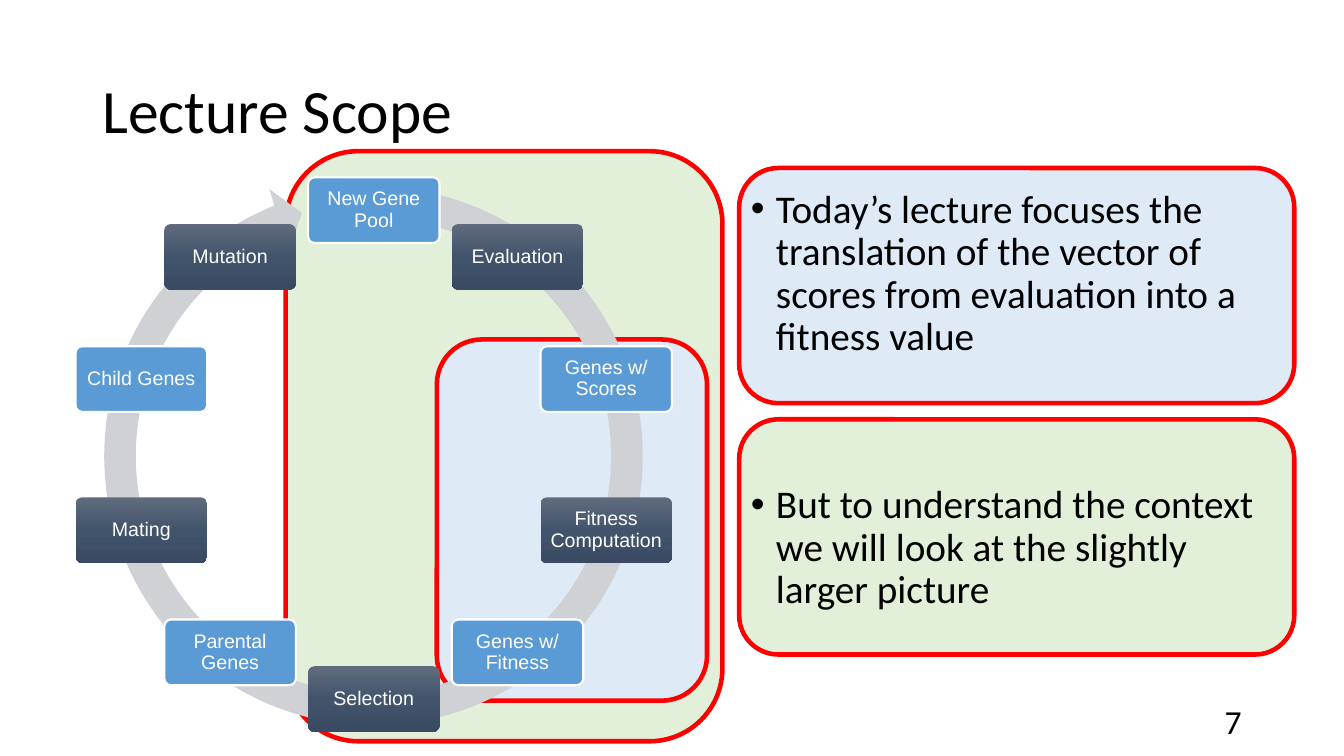
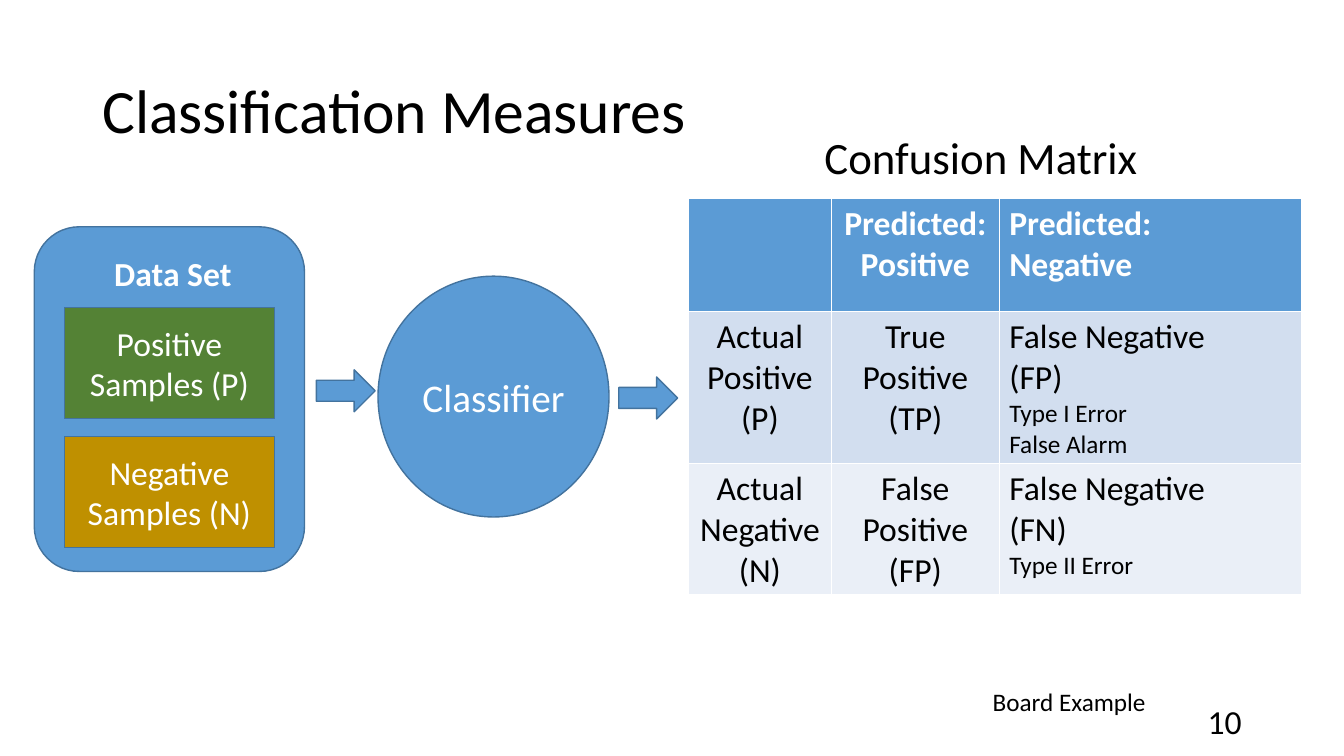
"""Build two lecture slides on fitness computation and classification."""
from copy import deepcopy
from math import cos, radians, sin

from pptx import Presentation
from pptx.dml.color import RGBColor
from pptx.enum import shapes, text
from pptx.oxml import ns
from pptx.oxml.xmlchemy import OxmlElement
from pptx.util import Pt

HUES = {
    "black": "000000", "white": "FFFFFF", "red": "FF0000",
    "blue": "5B9BD5", "edge": "43739E", "ring": "CFD1D4",
    "pale green": "E2F0D9", "pale blue": "DEEBF7",
    "green": "548235", "gold": "BF9000",
    "band one": "D2DEEF", "band two": "EAEFF7",
    "dark top": "606B7D", "dark mid": "42546C", "dark end": "394A62",
}
FORM = shapes.MSO_SHAPE
LEFT, MID, RIGHT = text.PP_ALIGN.LEFT, text.PP_ALIGN.CENTER, text.PP_ALIGN.RIGHT
STEPS = ["New Gene Pool", "Evaluation", "Genes w/ Scores", "Fitness Computation",
         "Genes w/ Fitness", "Selection", "Parental Genes", "Mating",
         "Child Genes", "Mutation"]
CELLS = [
    ["", "Predicted:\nPositive", "Predicted:\nNegative"],
    ["Actual Positive (P)", "True Positive (TP)",
     "False Negative\n(FP)\nType I Error\nFalse Alarm"],
    ["Actual Negative (N)", "False Positive (FP)",
     "False Negative\n(FN)\nType II Error"],
]


def hue(name):
    return RGBColor.from_string(HUES[name])


def style(para, size, tone="black", face="Calibri", align=LEFT, bold=False):
    para.alignment = align
    for run in para.runs:
        font = run.font
        font.size, font.name, font.bold = Pt(size), face, bold
        font.color.rgb = hue(tone)


def write(slide, words, box, size, wrap=True, centre=False, lead=None, **look):
    frame = slide.shapes.add_textbox(*map(Pt, box)).text_frame
    frame.word_wrap = wrap
    if centre:
        frame.vertical_anchor = text.MSO_ANCHOR.MIDDLE
    frame.text = words
    for para in frame.paragraphs:
        para.line_spacing = lead
        style(para, size, **look)
    return frame


def draw(slide, form, box, fill, edge="edge", width=1, words="", size=24, face="Calibri"):
    shape = slide.shapes.add_shape(form, *map(Pt, box))
    shape.shadow.inherit = False
    shape.fill.solid()
    shape.fill.fore_color.rgb = hue(fill)
    if edge:
        shape.line.color.rgb = hue(edge)
        shape.line.width = Pt(width)
    else:
        shape.line.fill.background()
    if words:
        shape.text_frame.text = words
        shape.text_frame.vertical_anchor = text.MSO_ANCHOR.MIDDLE
        style(shape.text_frame.paragraphs[0], size, "white", face, MID)
    return shape


def shade(shape):
    shape.fill.gradient()
    shape.fill.gradient_angle = 270
    stops = shape._element.spPr.find(".//" + ns.qn("a:gsLst"))
    stops.insert(1, deepcopy(stops[0]))
    tones = [(0, "dark top"), (0.5, "dark mid"), (1, "dark end")]
    for stop, (place, tone) in zip(shape.fill.gradient_stops, tones):
        stop.position = place
        stop.color.rgb = hue(tone)


def dot(para):
    props = para._p.get_or_add_pPr()
    props.set("marL", str(Pt(18)))
    props.set("indent", str(Pt(-18)))
    for tag, key, value in [("a:buFont", "typeface", "Arial"), ("a:buChar", "char", "•")]:
        mark = OxmlElement(tag)
        mark.set(key, value)
        props.append(mark)


def cycle(slide):
    ring = draw(slide, FORM.CIRCULAR_ARROW, (62, 121, 409.6, 409.6), "ring", None)
    for i, value in enumerate([0.055, 3.307, 148.847, 167.417, 0.058]):
        ring.adjustments[i] = value
    mid, level, reach, wide, high = 267, 324.7, 174.6, 93.9, 46.9
    for i, step in enumerate(STEPS):
        turn = radians(i * 360 / len(STEPS))
        box = (mid + reach * sin(turn) - wide / 2,
               level - reach * cos(turn) - high / 2, wide, high)
        dark = i % 2 == 1
        node = draw(slide, FORM.ROUNDED_RECTANGLE, box, "blue",
                    None if dark else "white", 1.5, step, 14, "Arial")
        node.adjustments[0] = 0.1
        frame = node.text_frame
        frame.margin_left = frame.margin_right = Pt(5)
        frame.margin_top = frame.margin_bottom = Pt(4)
        frame.paragraphs[0].line_spacing = 0.9
        if dark:
            shade(node)


def matrix(slide):
    table = slide.shapes.add_table(3, 3, *map(Pt, (491.8, 141.8, 438, 243))).table
    for col, wide in zip(table.columns, (102, 120, 216)):
        col.width = Pt(wide)
    for r, (row, fill) in enumerate(zip(CELLS, ("blue", "band one", "band two"))):
        table.rows[r].height = Pt(81)
        for c, words in enumerate(row):
            cell = table.cell(r, c)
            cell.fill.solid()
            cell.fill.fore_color.rgb = hue(fill)
            cell.text = words
            for i, para in enumerate(cell.text_frame.paragraphs):
                style(para, 18 if i > 1 else 24, "black" if r else "white",
                      align=LEFT if c == 2 else MID, bold=r == 0)


def start(deck, title, page):
    slide = deck.slides.add_slide(deck.slide_layouts[6])
    write(slide, title, (66, 28.75, 828, 104.4), 44, centre=True, lead=0.9)
    write(slide, page, (678, 500.5, 216, 28.8), 24, centre=True, align=RIGHT)
    return slide


def scope(deck):
    slide = start(deck, "Lecture Scope", "7")
    for box, fill in [((528, 299.5, 396.5, 168), "pale green"),
                      ((528, 120, 396.5, 168), "pale blue"),
                      ((204, 108, 312, 421.5), "pale green"),
                      ((312, 242.5, 193, 258), "pale blue")]:
        draw(slide, FORM.ROUNDED_RECTANGLE, box, fill, "red", 3.25)
    notes = write(
        slide,
        "Today’s lecture focuses the translation of the vector of scores from "
        "evaluation into a fitness value\n"
        "But to understand the context we will look at the slightly larger picture",
        (529.2, 131.8, 394.6, 370), 28, lead=0.9)
    notes.paragraphs[1].space_before = Pt(90)
    for para in notes.paragraphs:
        dot(para)
    cycle(slide)


def measures(deck):
    slide = start(deck, "Classification Measures", "10")
    draw(slide, FORM.ROUNDED_RECTANGLE, (24.5, 162, 193, 246.2), "blue")
    write(slide, "Data Set", (48.2, 177.1, 150.5, 36), 24,
          tone="white", align=MID, bold=True)
    for top, fill, words in [(219.6, "green", "Positive Samples (P)"),
                             (312, "gold", "Negative Samples (N)")]:
        draw(slide, FORM.RECTANGLE, (46, top, 150, 79.2), fill, words=words)
    matrix(slide)
    draw(slide, FORM.OVAL, (270, 197.3, 165, 172), "blue", words="Classifier", size=28)
    for left, top in [(226, 264.2), (442, 269.3)]:
        draw(slide, FORM.RIGHT_ARROW, (left, top, 42, 30), "blue")
    write(slide, "Confusion Matrix", (581.8, 89.3, 240.5, 46), 32, wrap=False)
    write(slide, "Board Example", (702, 486.7, 124.6, 29), 18, wrap=False)


def main():
    deck = Presentation()
    deck.slide_width, deck.slide_height = Pt(960), Pt(540)
    scope(deck)
    measures(deck)
    deck.save("out.pptx")


if __name__ == "__main__":
    main()
